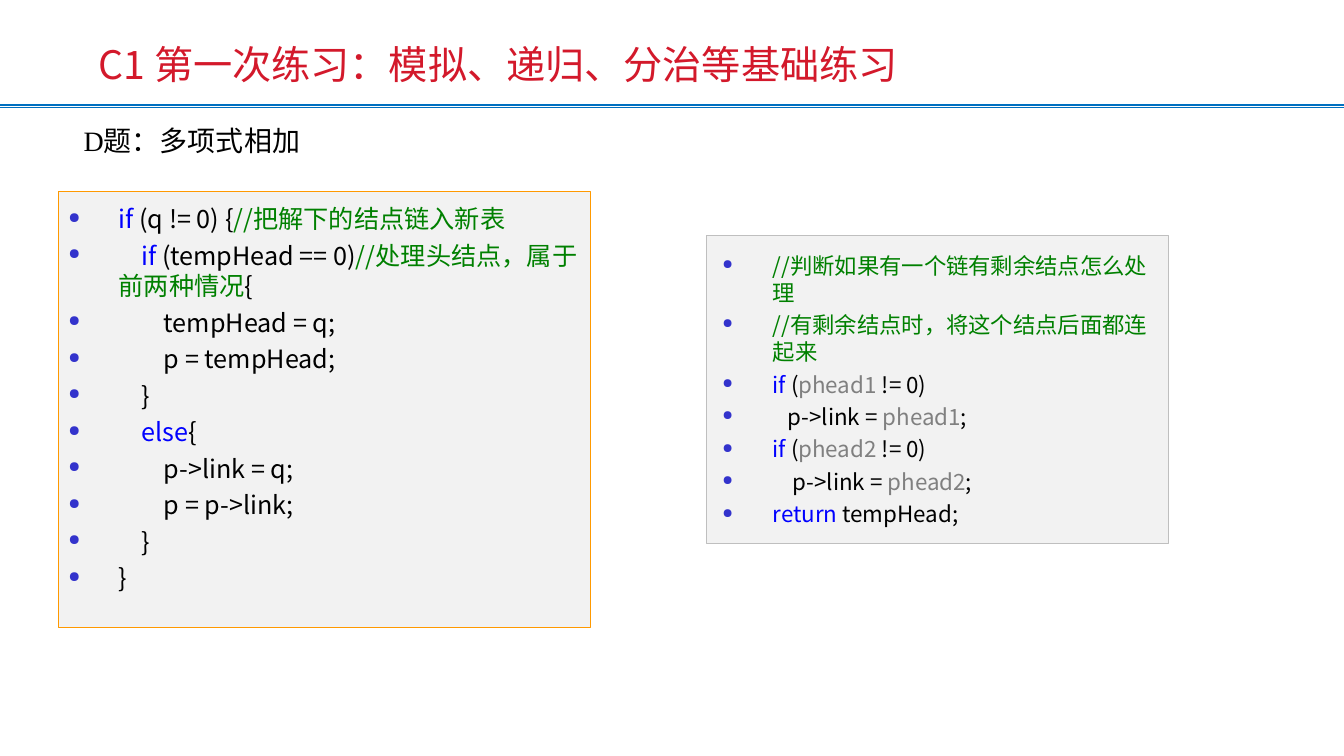
from lxml import etree
from pptx import Presentation
from pptx.dml.color import RGBColor
from pptx.enum.shapes import MSO_CONNECTOR, MSO_SHAPE
from pptx.enum.text import MSO_ANCHOR, MSO_AUTO_SIZE, PP_ALIGN
from pptx.oxml.ns import qn
from pptx.util import Pt

PX = 9144
SANS = "Noto Sans CJK SC"
SERIF = "Times New Roman"
BULLET_FONT = "OpenSymbol"
RED = RGBColor(0xD3, 0x19, 0x2B)
RULE_BLUE = RGBColor(0x00, 0x70, 0xC0)
BULLET_BLUE = RGBColor(0x33, 0x33, 0xCC)
PANEL = RGBColor(0xF2, 0xF2, 0xF2)
ORANGE = RGBColor(0xFF, 0x99, 0x00)
SILVER = RGBColor(0xBF, 0xBF, 0xBF)
BLACK = RGBColor(0x00, 0x00, 0x00)
KEYWORD = RGBColor(0x00, 0x00, 0xFF)
COMMENT = RGBColor(0x00, 0x80, 0x00)
ARGUMENT = RGBColor(0x80, 0x80, 0x80)

LINK_NODE = [
    [("if", KEYWORD), (" (q != 0) {", BLACK), ("//把解下的结点链入新表", COMMENT)],
    [("    if", KEYWORD), (" (tempHead == 0)", BLACK),
     ("//处理头结点，属于前两种情况", COMMENT), ("{", BLACK)],
    [("        tempHead = q;", BLACK)],
    [("        p = tempHead;", BLACK)],
    [("    }", BLACK)],
    [("    else", KEYWORD), ("{", BLACK)],
    [("        p->link = q;", BLACK)],
    [("        p = p->link;", BLACK)],
    [("    }", BLACK)],
    [("}", BLACK)],
]


def append_rest(head, indent):
    return [
        [("if", KEYWORD), (" (", BLACK), (head, ARGUMENT), (" != 0)", BLACK)],
        [(indent + "p->link = ", BLACK), (head, ARGUMENT), (";", BLACK)],
    ]


LINK_REST = [
    [("//判断如果有一个链有剩余结点怎么处理", COMMENT)],
    [("//有剩余结点时，将这个结点后面都连起来", COMMENT)],
    *append_rest("phead1", "   "),
    *append_rest("phead2", "    "),
    [("return", KEYWORD), (" tempHead;", BLACK)],
]


def place(shape, box):
    shape.left, shape.top, shape.width, shape.height = [n * PX for n in box]


def set_margins(text_frame, left, top, right, bottom):
    text_frame.margin_left, text_frame.margin_top = left * PX, top * PX
    text_frame.margin_right, text_frame.margin_bottom = right * PX, bottom * PX


def format_run(run, font_name, size, color):
    run.font.name = font_name
    run.font.size = Pt(size)
    run.font.color.rgb = color
    east_asian = etree.SubElement(run.font._element, qn("a:ea"))
    east_asian.set("typeface", SANS)


def add_bullet(paragraph, indent):
    properties = paragraph._p.get_or_add_pPr()
    properties.set("marL", str(indent * PX))
    properties.set("indent", str(-indent * PX))
    color = etree.SubElement(properties, qn("a:buClr"))
    etree.SubElement(color, qn("a:srgbClr")).set("val", str(BULLET_BLUE))
    etree.SubElement(properties, qn("a:buSzPct")).set("val", "60000")
    etree.SubElement(properties, qn("a:buFont")).set("typeface", BULLET_FONT)
    etree.SubElement(properties, qn("a:buChar")).set("char", "●")


def fill_placeholder(shape, box, text, font_name, size, color, anchor):
    place(shape, box)
    text_frame = shape.text_frame
    text_frame.text = text
    text_frame.word_wrap = True
    text_frame.auto_size = MSO_AUTO_SIZE.NONE
    text_frame.vertical_anchor = anchor
    set_margins(text_frame, 10, 5, 10, 5)
    paragraph = text_frame.paragraphs[0]
    paragraph.alignment = PP_ALIGN.LEFT
    paragraph.space_before = Pt(0)
    format_run(paragraph.runs[0], font_name, size, color)
    return paragraph


def add_title(slide, box):
    paragraph = fill_placeholder(
        slide.shapes.title, box, "C1 第一次练习：模拟、递归、分治等基础练习",
        SANS, 28, RED, MSO_ANCHOR.MIDDLE)
    paragraph.line_spacing = 0.9


def add_problem_heading(slide, box):
    paragraph = fill_placeholder(slide.placeholders[1], box, "D题：多项式相加",
                                 SERIF, 20, BLACK, MSO_ANCHOR.TOP)
    properties = paragraph._p.get_or_add_pPr()
    properties.set("marL", "0")
    properties.set("indent", "0")
    etree.SubElement(properties, qn("a:buNone"))


def add_double_rule(slide, box):
    left, top, width, height = box
    for offset, weight in ((0, 1.5), (height, 0.75)):
        y = (top + offset) * PX
        rule = slide.shapes.add_connector(
            MSO_CONNECTOR.STRAIGHT, left * PX, y, (left + width) * PX, y)
        rule.line.color.rgb = RULE_BLUE
        rule.line.width = Pt(weight)
        etree.SubElement(rule._element.spPr, qn("a:effectLst"))


def add_code_panel(slide, box, lines, size, gap, border, margins):
    panel = slide.shapes.add_shape(MSO_SHAPE.RECTANGLE, *[n * PX for n in box])
    panel.shadow.inherit = False
    panel.fill.solid()
    panel.fill.fore_color.rgb = PANEL
    panel.line.color.rgb = border
    panel.line.width = Pt(0.75)
    text_frame = panel.text_frame
    text_frame.word_wrap = True
    text_frame.vertical_anchor = MSO_ANCHOR.TOP
    set_margins(text_frame, *margins)
    for number, line in enumerate(lines):
        paragraph = text_frame.add_paragraph() if number else text_frame.paragraphs[0]
        add_bullet(paragraph, 50)
        paragraph.alignment = PP_ALIGN.LEFT
        paragraph.space_before = Pt(gap if number else 0)
        for text, color in line:
            run = paragraph.add_run()
            run.text = text
            format_run(run, SANS, size, color)


def main():
    presentation = Presentation()
    presentation.slide_width = 1334 * PX
    presentation.slide_height = 750 * PX
    slide = presentation.slides.add_slide(presentation.slide_layouts[1])
    add_double_rule(slide, (0, 104, 1334, 3))
    add_title(slide, (88, 35, 1050, 63))
    add_problem_heading(slide, (73, 118, 482, 49))
    add_code_panel(slide, (58, 190, 528, 433), LINK_NODE, 18, 4.5, ORANGE, (10, 12, 10, 5))
    add_code_panel(slide, (701, 234, 459, 305), LINK_REST, 16, 4, SILVER, (16, 16, 10, 16))
    presentation.save("out.pptx")


if __name__ == "__main__":
    main()
